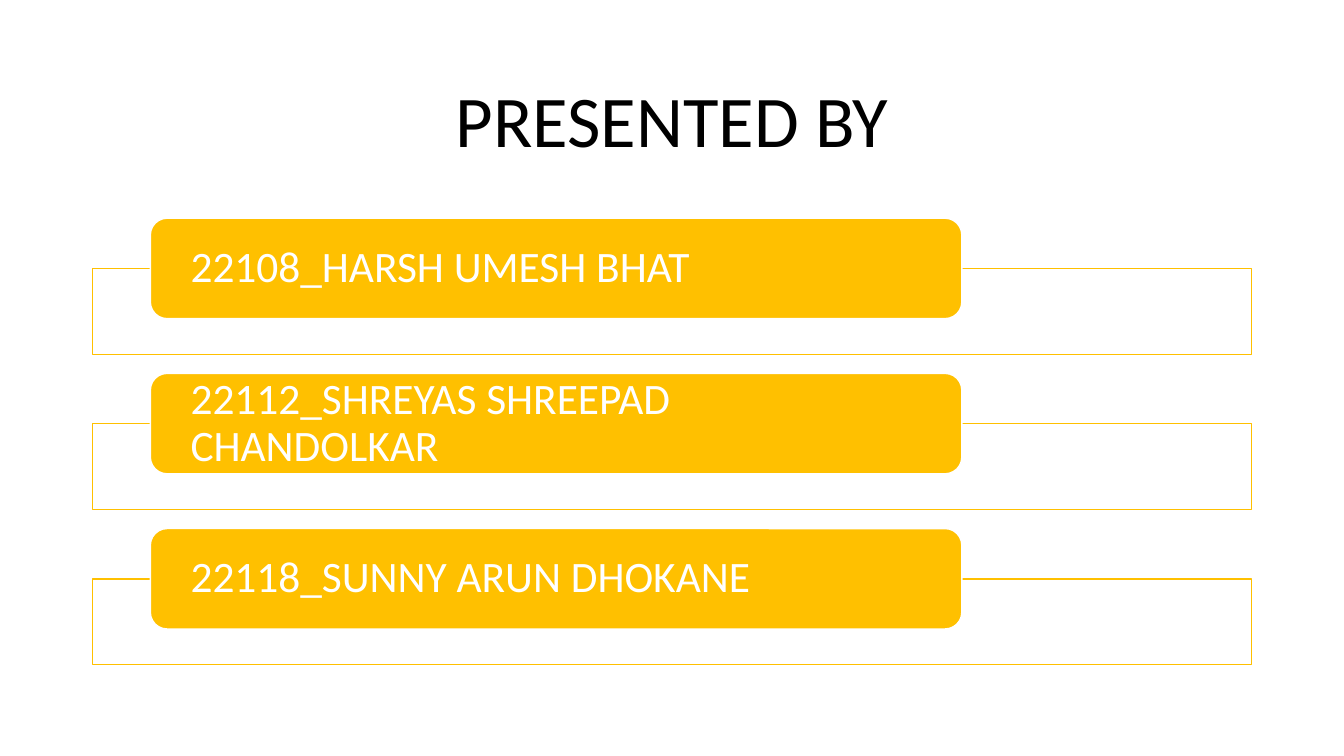
import pptx
import pptx.util
import pptx.dml.color
import pptx.enum.shapes
import pptx.enum.text
import pptx.oxml.ns
import lxml.etree

Cm = pptx.util.Cm
Pt = pptx.util.Pt
Shape = pptx.enum.shapes.MSO_SHAPE
Align = pptx.enum.text.PP_ALIGN

TITLE = "PRESENTED BY"
PRESENTERS = [
    "22108_HARSH UMESH BHAT",
    "22112_SHREYAS SHREEPAD CHANDOLKAR",
    "22118_SUNNY ARUN DHOKANE",
]

BLACK = pptx.dml.color.RGBColor(0x00, 0x00, 0x00)
WHITE = pptx.dml.color.RGBColor(0xFF, 0xFF, 0xFF)
AMBER = pptx.dml.color.RGBColor(0xFF, 0xC0, 0x00)

LEFT, WIDTH = 2.33, 29.21
TITLE_TOP, TITLE_HEIGHT = 1.55, 3.15
FIRST_TOP, ROW_PITCH = 5.5, 3.91
FRAME_DROP, FRAME_HEIGHT = 1.27, 2.16
LABEL_INDENT, LABEL_WIDTH, LABEL_HEIGHT = 1.46, 20.45, 2.53
LABEL_INSET = 0.89

TITLE_FONT = {"name": "Calibri", "size": Pt(52)}
LABEL_FONT = {"name": "Calibri", "size": Pt(31)}


def set_all(target, values):
    for name, value in values.items():
        setattr(target, name, value)


def write(box, text, font, color, align, inset):
    frame = box.text_frame
    set_all(frame, {
        "word_wrap": True,
        "vertical_anchor": pptx.enum.text.MSO_ANCHOR.MIDDLE,
        "margin_left": Cm(inset),
        "margin_right": Cm(inset),
        "margin_top": 0,
        "margin_bottom": 0,
    })
    para = frame.paragraphs[0]
    set_all(para, {"alignment": align, "line_spacing": 0.9})
    span = para.add_run()
    span.text = text
    set_all(span.font, font)
    span.font.color.rgb = color


def add_box(page, kind, place, fill, line):
    box = page.shapes.add_shape(kind, *map(Cm, place))
    box.shadow.inherit = False
    box.fill.solid()
    box.fill.fore_color.rgb = fill
    box.line.color.rgb = line
    box.line.width = Pt(1)
    return box


def set_opacity(box, percent):
    qn = pptx.oxml.ns.qn
    color = box.fill._xPr.find(qn("a:solidFill")).find(qn("a:srgbClr"))
    lxml.etree.SubElement(color, qn("a:alpha")).set("val", str(percent * 1000))


def add_presenter(page, top, name):
    frame = add_box(page, Shape.RECTANGLE,
                    (LEFT, top + FRAME_DROP, WIDTH, FRAME_HEIGHT), WHITE, AMBER)
    set_opacity(frame, 90)
    label = add_box(page, Shape.ROUNDED_RECTANGLE,
                    (LEFT + LABEL_INDENT, top, LABEL_WIDTH, LABEL_HEIGHT), AMBER, WHITE)
    write(label, name, LABEL_FONT, WHITE, Align.LEFT, LABEL_INSET)


def main():
    deck = pptx.Presentation()
    set_all(deck, {"slide_width": Cm(33.87), "slide_height": Cm(19.05)})
    page = deck.slides.add_slide(deck.slide_layouts[5])
    title = page.shapes.title
    set_all(title, {"left": Cm(LEFT), "top": Cm(TITLE_TOP),
                    "width": Cm(WIDTH), "height": Cm(TITLE_HEIGHT)})
    write(title, TITLE, TITLE_FONT, BLACK, Align.CENTER, 0.25)
    for row, name in enumerate(PRESENTERS):
        add_presenter(page, FIRST_TOP + row * ROW_PITCH, name)
    deck.save("out.pptx")


if __name__ == "__main__":
    main()
